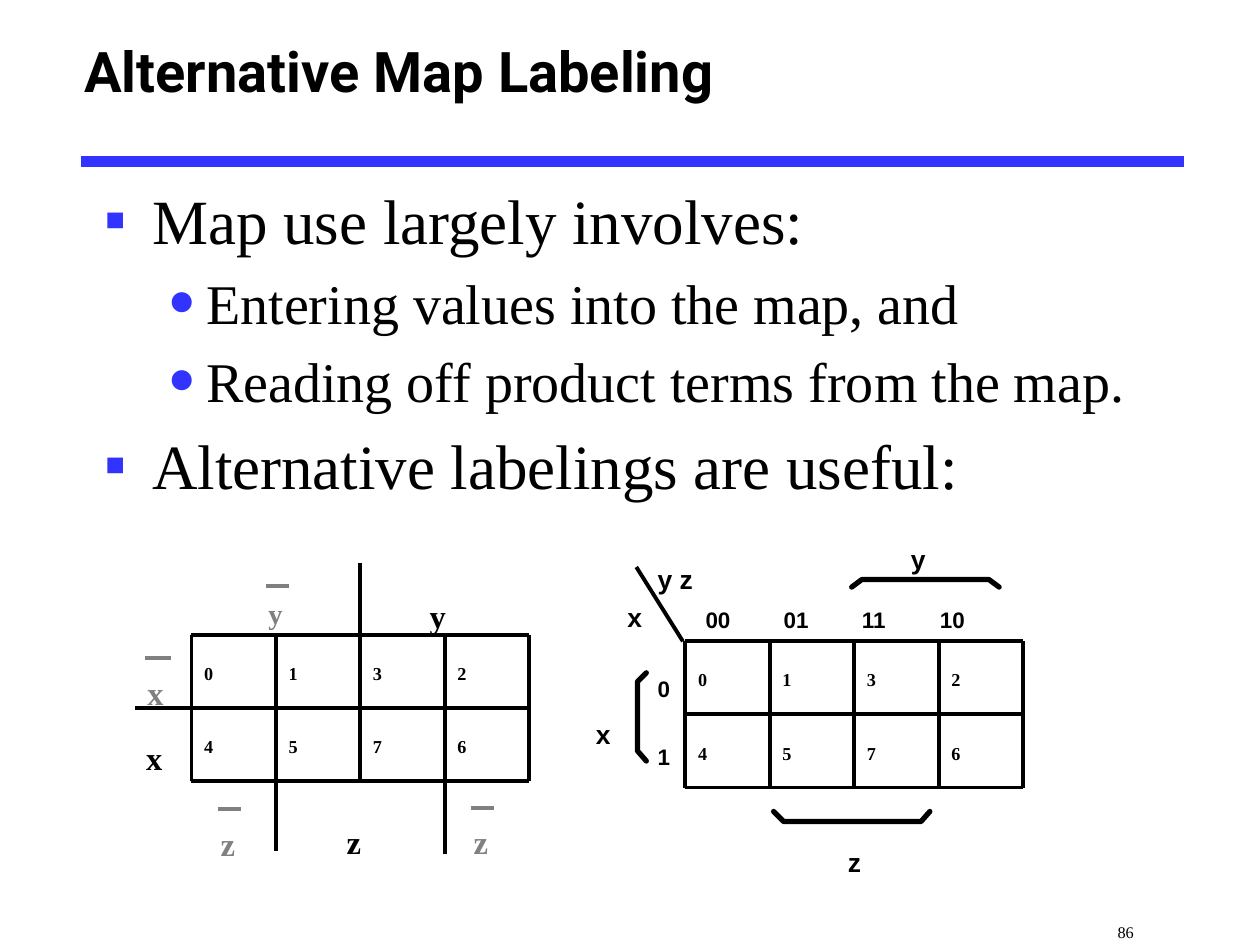
import pptx
import pptx.dml.color
import pptx.enum.shapes
import pptx.enum.text
import pptx.oxml.ns
import pptx.util
from lxml import etree
from pptx.util import Inches

SERIF, SANS = "Times New Roman", "Arial"
BLACK, GREY, BLUE = "000000", "808080", "3333FF"
COLUMN, ROW = 0.67, 0.58
WIDTH, HEIGHT = 4 * COLUMN, 2 * ROW
MINTERMS = ((0, 1, 3, 2), (4, 5, 7, 6))


def rgb(value):
    """Turn a hex string into a colour."""
    return pptx.dml.color.RGBColor.from_string(value)


def add_child(parent, tag, **attributes):
    """Append a DrawingML element to a parent element."""
    return etree.SubElement(parent, pptx.oxml.ns.qn(tag), attributes)


def format_runs(paragraph, size, font, color=BLACK, bold=False, lowered=False):
    """Format every run of a paragraph."""
    for run in paragraph.runs:
        run.font.size = pptx.util.Pt(size)
        run.font.name = font
        run.font.bold = bold
        run.font.color.rgb = rgb(color)
        if lowered:
            run._r.get_or_add_rPr().set("baseline", "-25000")


def add_frame(slide, left, top, width, height):
    """Add a wrapping text box and return its text frame."""
    frame = slide.shapes.add_textbox(
        Inches(left), Inches(top), Inches(width), Inches(height)).text_frame
    frame.word_wrap = True
    return frame


def add_label(slide, text, left, top, size, font, color=BLACK, bold=True):
    """Add a lowered label whose text starts at the given corner."""
    frame = add_frame(slide, left, top, 0.45, size / 60)
    frame.margin_left = frame.margin_right = 0
    frame.margin_top = frame.margin_bottom = 0
    frame.text = text
    format_runs(frame.paragraphs[0], size, font, color, bold, lowered=True)


def add_line(slide, x1, y1, x2, y2, color=BLACK, weight=2.25):
    """Add a straight line without a shadow."""
    line = slide.shapes.add_connector(
        pptx.enum.shapes.MSO_CONNECTOR.STRAIGHT,
        Inches(x1), Inches(y1), Inches(x2), Inches(y2))
    line.line.color.rgb = rgb(color)
    line.line.width = pptx.util.Pt(weight)
    add_child(line._element.spPr, "a:effectLst")


def add_bracket(slide, points):
    """Add an open bracket with round ends through the points."""
    corners = [(Inches(x), Inches(y)) for x, y in points]
    builder = slide.shapes.build_freeform(*corners[0])
    builder.add_line_segments(corners[1:], close=False)
    bracket = builder.convert_to_shape()
    bracket.shadow.inherit = False
    bracket.fill.background()
    bracket.line.color.rgb = rgb(BLACK)
    bracket.line.width = pptx.util.Pt(3)
    outline = bracket.line._get_or_add_ln()
    outline.set("cap", "rnd")
    add_child(outline, "a:round")


def add_title(slide, left, top, width, height):
    """Place the title and the rule beneath it."""
    frame = add_frame(slide, left, top, width, height)
    frame.vertical_anchor = pptx.enum.text.MSO_ANCHOR.MIDDLE
    frame.text = "Alternative Map Labeling"
    format_runs(frame.paragraphs[0], 32, "Roboto", bold=True)
    rule_y = top + height + 0.16
    add_line(slide, left + 0.07, rule_y, left + 8.83, rule_y, BLUE, 6)


def add_points(slide, left, top, width, height):
    """Place the two-level bullet list."""
    points = (
        (0, "Map use largely involves:"),
        (1, "Entering values into the map, and"),
        (1, "Reading off product terms from the map."),
        (0, "Alternative labelings are useful:"),
    )
    styles = ((36, 0.38, 0.38, "▪", 100), (32, 0.81, 0.31, "•", 150))
    frame = add_frame(slide, left, top, width, height)
    frame.text = "\n".join(text for _, text in points)
    for paragraph, (level, _) in zip(frame.paragraphs, points):
        size, margin, hanging, bullet, scale = styles[level]
        paragraph.level = level
        format_runs(paragraph, size, SERIF)
        properties = paragraph._p.get_or_add_pPr()
        properties.set("marL", str(Inches(margin)))
        properties.set("indent", str(-Inches(hanging)))
        spacing = add_child(properties, "a:spcBef")
        add_child(spacing, "a:spcPct", val="20000")
        bullet_color = add_child(properties, "a:buClr")
        add_child(bullet_color, "a:srgbClr", val=BLUE)
        add_child(properties, "a:buSzPct", val=str(scale * 1000))
        add_child(properties, "a:buFont", typeface=SERIF)
        add_child(properties, "a:buChar", char=bullet)


def add_map(slide, left, top, row_starts=(0, 0, 0), column_starts=(0,) * 5,
            column_ends=(HEIGHT,) * 5):
    """Place a two by four map, with grid lines that may reach outside it."""
    for row, start in enumerate(row_starts):
        y = top + row * ROW
        add_line(slide, left + start, y, left + WIDTH, y)
    for column, (start, end) in enumerate(zip(column_starts, column_ends)):
        x = left + column * COLUMN
        add_line(slide, x, top + start, x, top + end)
    for row, minterms in enumerate(MINTERMS):
        for column, minterm in enumerate(minterms):
            add_label(slide, str(minterm), left + column * COLUMN + 0.1,
                      top + row * ROW + 0.05, 18, SERIF)


def add_literal_map(slide, left, top):
    """Place the map labeled with variables and their complements."""
    add_map(slide, left, top, row_starts=(0, -0.45, 0),
            column_starts=(0, 0, -0.57, 0, 0),
            column_ends=(HEIGHT, 1.71, HEIGHT, 1.74, HEIGHT))
    for literal, x, y in (("y", 1.89, -0.61), ("z", 1.23, 1.19), ("x", -0.36, 0.52)):
        add_label(slide, literal, left + x, top + y, 32, SERIF)
    complements = (
        ("x", -0.35, 0, 32, 0.21),
        ("y", 0.61, -0.57, 28, 0.18),
        ("z", 2.24, 1.19, 32, 0.18),
        ("z", 0.23, 1.2, 32, 0.18),
    )
    for literal, x, y, size, bar in complements:
        add_label(slide, literal, left + x, top + y, size, SERIF, GREY)
        bar_x, bar_y = left + x - 0.02, top + y + 0.18
        add_line(slide, bar_x, bar_y, bar_x + bar, bar_y, GREY)


def add_code_map(slide, left, top):
    """Place the map labeled with binary codes and brackets."""
    add_map(slide, left, top)
    add_line(slide, left - 0.02, top, left - 0.39, top - 0.59)
    names = (("y", 1.79, -1.02), ("y z", -0.22, -0.86), ("z", 1.29, 1.38),
             ("x", -0.46, -0.56), ("x", -0.71, 0.37))
    for name, x, y in names:
        add_label(slide, name, left + x, top + y, 26, SANS)
    for column, code in enumerate(("00", "01", "11", "10")):
        add_label(slide, code, left + 0.16 + column * 0.62, top - 0.48, 22, SANS)
    for row, code in enumerate("01"):
        add_label(slide, code, left - 0.22, top + 0.06 + row * 0.54, 22, SANS)
    brackets = (
        ((1.32, -0.43), (1.4, -0.49), (2.41, -0.49), (2.49, -0.43)),
        ((-0.31, 0.25), (-0.38, 0.32), (-0.38, 0.87), (-0.31, 0.95)),
        ((0.7, 1.35), (0.78, 1.43), (1.87, 1.43), (1.94, 1.35)),
    )
    for bracket in brackets:
        add_bracket(slide, [(left + x, top + y) for x, y in bracket])


def main():
    """Build and save the slide."""
    presentation = pptx.Presentation()
    presentation.slide_width, presentation.slide_height = Inches(10), Inches(7.5)
    slide = presentation.slides.add_slide(presentation.slide_layouts[6])
    add_title(slide, 0.57, 0, 9.43, 1.12)
    add_points(slide, 0.73, 1.39, 8.5, 2.8)
    add_literal_map(slide, 1.52, 5.04)
    add_code_map(slide, 5.44, 5.09)
    add_label(slide, "86", 8.87, 7.17, 16, SERIF, bold=False)
    presentation.save("out.pptx")


if __name__ == "__main__":
    main()
